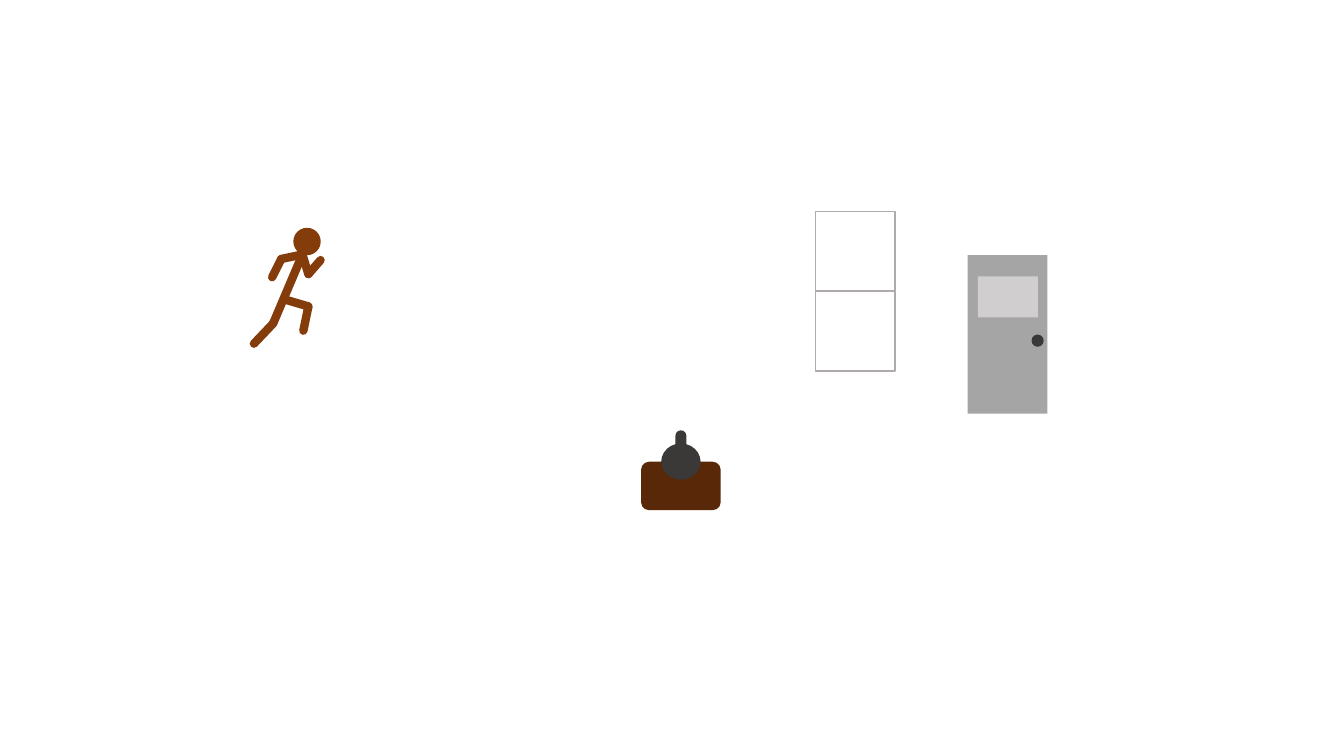
from dataclasses import dataclass

from lxml import etree
from pptx import Presentation
from pptx.dml import color
from pptx.enum import shapes
from pptx.oxml import ns
from pptx.util import Pt


@dataclass(frozen=True)
class Theme:
    desk: str = "582808"
    dark: str = "3B3838"
    runner: str = "843C0B"
    outline: str = "AFABAB"
    door: str = "A5A5A5"
    glass: str = "D0CECE"
    thin: float = 1
    limb: float = 6


THEME = Theme()
KIND = shapes.MSO_SHAPE
TILE = 56.9


def rgb(value):
    return color.RGBColor.from_string(value)


def add_block(parent, kind, left, top, width, height, fill=None, line=None):
    shape = parent.shapes.add_shape(kind, Pt(left), Pt(top), Pt(width), Pt(height))
    shape.shadow.inherit = False
    if fill:
        shape.fill.solid()
        shape.fill.fore_color.rgb = rgb(fill)
    else:
        shape.fill.background()
    if line:
        shape.line.color.rgb = rgb(line)
        shape.line.width = Pt(THEME.thin)
    else:
        shape.line.fill.background()
    return shape


def add_limb(parent, start, end):
    limb = parent.shapes.add_connector(
        shapes.MSO_CONNECTOR.STRAIGHT, *[Pt(value) for value in (*start, *end)]
    )
    limb.line.color.rgb = rgb(THEME.runner)
    limb.line.width = Pt(THEME.limb)
    limb.line._get_or_add_ln().set("cap", "rnd")
    etree.SubElement(limb._element.spPr, ns.qn("a:effectLst"))


def add_desk_person(slide):
    group = slide.shapes.add_group_shape()
    add_block(group, KIND.ROUNDED_RECTANGLE, 457.9, 329.8, TILE, 34.6, THEME.desk)
    add_block(group, KIND.OVAL, 472.3, 316.8, 28.1, 25.9, THEME.dark)
    top = add_block(group, KIND.ROUNDED_RECTANGLE, 482.4, 307.4, 7.9, 18.7, THEME.dark)
    top.adjustments[0] = 0.5


def add_runner(slide):
    group = slide.shapes.add_group_shape()
    add_block(group, KIND.OVAL, 209.5, 162.7, 19.6, 19.6, THEME.runner)
    neck, back_knee = (216, 181.8), (195.1, 231.1)
    front_elbow, back_elbow = (220.3, 195.8), (200.9, 185)
    front_knee = (220.3, 218.9)
    limbs = [
        (neck, back_knee),
        (neck, front_elbow),
        (front_elbow, (229, 185.8)),
        (back_elbow, neck),
        (back_elbow, (194.4, 198)),
        ((203, 213.8), front_knee),
        ((216.7, 236.2), front_knee),
        ((181.4, 245.5), back_knee),
    ]
    for start, end in limbs:
        add_limb(group, start, end)


def add_door(slide):
    group = slide.shapes.add_group_shape()
    add_block(group, KIND.RECTANGLE, 691.2, 182.2, TILE, 113.2, THEME.door)
    add_block(group, KIND.RECTANGLE, 698.4, 197.4, 43, 29.4, THEME.glass)
    add_block(group, KIND.OVAL, 736.8, 239, 8.7, 8.7, THEME.dark)


def add_pane(slide, row):
    add_block(
        slide, KIND.RECTANGLE, 582.4, 151.1 + row * TILE, TILE, TILE, line=THEME.outline
    )


def main():
    presentation = Presentation()
    presentation.slide_width, presentation.slide_height = Pt(960), Pt(540)
    slide = presentation.slides.add_slide(presentation.slide_layouts[6])
    add_desk_person(slide)
    add_pane(slide, 1)
    add_runner(slide)
    add_door(slide)
    add_pane(slide, 0)
    presentation.save("out.pptx")


main()
